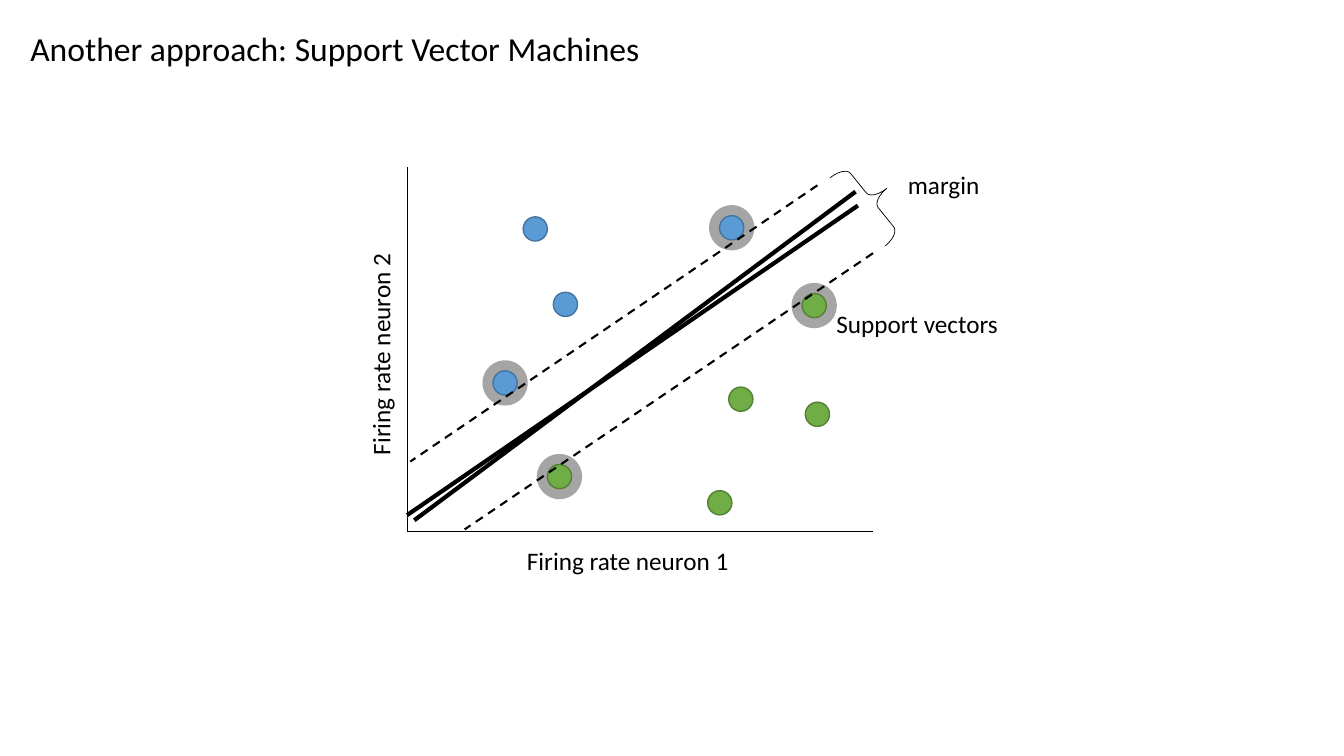
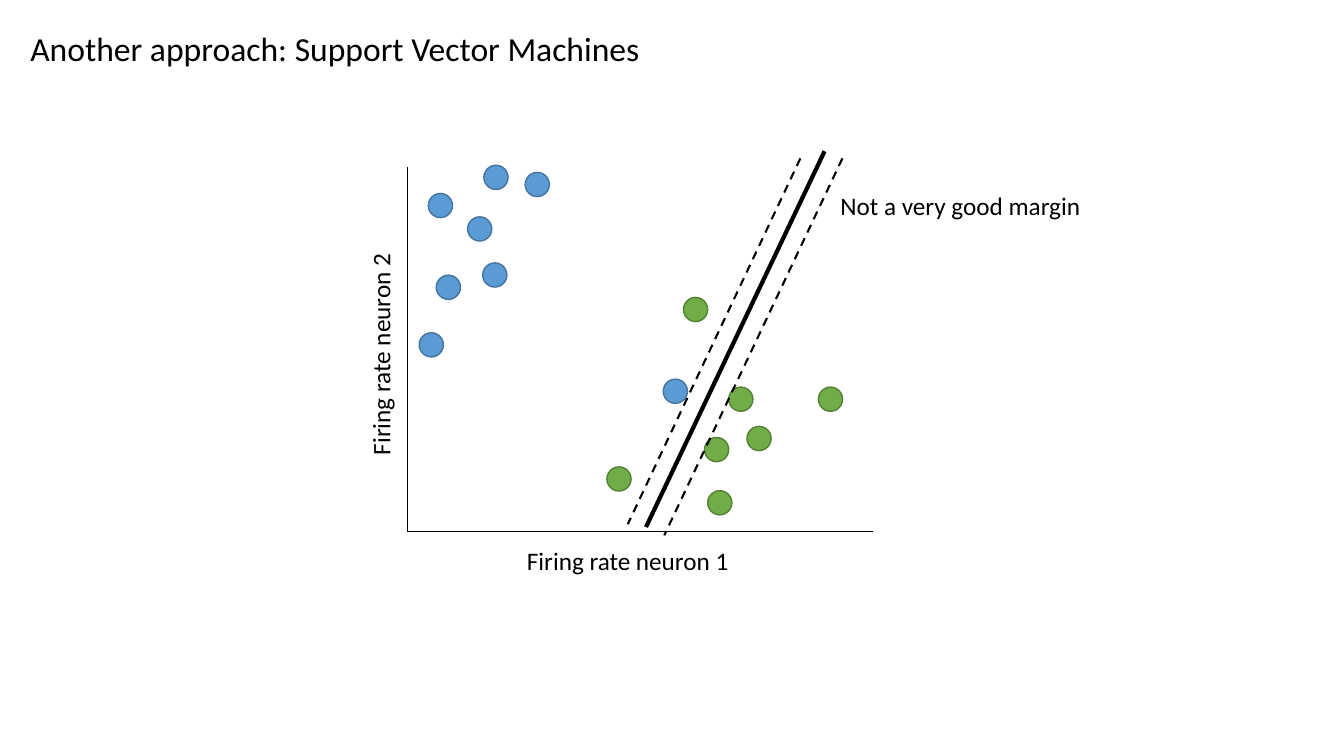
from dataclasses import dataclass

from lxml.etree import SubElement
from pptx import Presentation
from pptx.dml.color import RGBColor
from pptx.enum.dml import MSO_LINE_DASH_STYLE as Dash
from pptx.enum.shapes import MSO_CONNECTOR as Connector, MSO_SHAPE as Shape
from pptx.enum.text import MSO_ANCHOR as Anchor, MSO_AUTO_SIZE as AutoSize, PP_ALIGN as Align
from pptx.oxml.ns import qn
from pptx.util import Cm, Pt


@dataclass(frozen=True)
class Theme:
    font: str = "Calibri"
    title_size: float = 24
    label_size: float = 18
    ink: str = "000000"
    halo: str = "A5A5A5"
    blue: tuple = ("5B9BD5", "43739E")
    green: tuple = ("70AD47", "538035")
    hairline: float = 0.5
    outline: float = 1
    margin_line: float = 1.5
    boundary: float = 3


THEME = Theme()
TITLE = "Another approach: Support Vector Machines"
TITLE_BOX = (0.51, 0.58, 31.29, 1.27)
DOT, HALO = 0.61, 1.14
LABEL_HEIGHT = 1.02
ORIGIN, X_END, Y_END = (10.26, 13.39), (22, 13.39), (10.26, 4.22)
AXIS_LABELS = [
    ("Firing rate neuron 1", 13.03, 13.61, 5.66, 0),
    ("Firing rate neuron 2", 6.76, 8.38, 5.66, 270),
]

SLIDES = [
    {
        "supports": [(20.52, 7.7), (14.1, 12.01), (12.73, 9.65), (18.44, 5.74)],
        "blue": [(13.49, 5.77), (12.73, 9.65), (18.44, 5.74), (14.25, 7.67)],
        "green": [(18.67, 10.06), (20.6, 10.44), (18.14, 12.67), (14.1, 12.01), (20.52, 7.7)],
        "boundaries": [((21.62, 5.18), (10.26, 12.98)), ((21.56, 4.83), (10.44, 13.11))],
        "margins": [((22, 6.38), (11.71, 13.34)), ((20.6, 4.67), (10.34, 11.63))],
        "brace": (21.51, 3.94, 0.94, 2.21, 321.1),
        "labels": [("Support vectors", 20.83, 7.65, 4.62, 0), ("margin", 22.63, 4.14, 2.34, 0)],
    },
    {
        "supports": [],
        "blue": [(12.09, 5.77), (11.1, 5.18), (13.54, 4.65), (11.3, 7.24),
                 (17.02, 9.86), (12.5, 4.47), (10.87, 8.69), (12.47, 6.93)],
        "green": [(18.67, 10.06), (19.13, 11.05), (18.06, 11.33), (20.93, 10.06),
                  (18.14, 12.67), (15.6, 12.07), (17.53, 7.8)],
        "boundaries": [((20.78, 3.81), (16.28, 13.28))],
        "margins": [((21.23, 3.99), (16.74, 13.49)), ((20.17, 3.99), (15.82, 13.21))],
        "brace": None,
        "labels": [("Not a very good margin", 20.93, 4.67, 6.63, 0)],
    },
]


def color(value):
    return RGBColor.from_string(value)


def write(box, text, size, wrap=False, anchor=Anchor.TOP):
    frame = box.text_frame
    frame.auto_size = AutoSize.NONE
    frame.word_wrap = wrap
    frame.vertical_anchor = anchor
    para = frame.paragraphs[0]
    para.alignment = Align.LEFT
    span = para.add_run()
    span.text = text
    span.font.name = THEME.font
    span.font.size = Pt(size)
    span.font.color.rgb = color(THEME.ink)


def add_title(page):
    title = page.shapes.title
    title.left, title.top, title.width, title.height = map(Cm, TITLE_BOX)
    write(title, TITLE, THEME.title_size, wrap=True, anchor=Anchor.MIDDLE)


def add_label(page, text, left, top, width, rotation):
    box = page.shapes.add_textbox(Cm(left), Cm(top), Cm(width), Cm(LABEL_HEIGHT))
    box.rotation = rotation
    write(box, text, THEME.label_size)


def add_circle(page, center, diameter, fill, outline=None):
    left, top = (Cm(value - diameter / 2) for value in center)
    circle = page.shapes.add_shape(Shape.OVAL, left, top, Cm(diameter), Cm(diameter))
    circle.shadow.inherit = False
    circle.fill.solid()
    circle.fill.fore_color.rgb = color(fill)
    if outline:
        circle.line.color.rgb = color(outline)
        circle.line.width = Pt(THEME.outline)
    else:
        circle.line.fill.background()


def add_line(page, start, end, width, dash=None):
    line = page.shapes.add_connector(Connector.STRAIGHT, *map(Cm, (*start, *end)))
    line.line.color.rgb = color(THEME.ink)
    line.line.width = Pt(width)
    if dash:
        line.line.dash_style = dash
    SubElement(line.element.spPr, qn("a:effectLst"))


def add_brace(page, left, top, width, height, rotation):
    brace = page.shapes.add_shape(Shape.RIGHT_BRACE, *map(Cm, (left, top, width, height)))
    brace.rotation = rotation
    brace.adjustments[0] = 0.25
    brace.shadow.inherit = False
    brace.fill.background()
    brace.line.color.rgb = color(THEME.ink)
    brace.line.width = Pt(THEME.hairline)


def add_plot(page, plot):
    for center in plot["supports"]:
        add_circle(page, center, HALO, THEME.halo)
    for name, colors in (("blue", THEME.blue), ("green", THEME.green)):
        for center in plot[name]:
            add_circle(page, center, DOT, *colors)
    for end in (X_END, Y_END):
        add_line(page, ORIGIN, end, THEME.hairline)
    for start, end in plot["boundaries"]:
        add_line(page, start, end, THEME.boundary)
    for start, end in plot["margins"]:
        add_line(page, start, end, THEME.margin_line, Dash.DASH)
    if plot["brace"]:
        add_brace(page, *plot["brace"])
    for label in AXIS_LABELS + plot["labels"]:
        add_label(page, *label)


def main():
    deck = Presentation()
    deck.slide_width, deck.slide_height = Cm(33.87), Cm(19.05)
    title_only = deck.slide_layouts[5]
    for plot in SLIDES:
        page = deck.slides.add_slide(title_only)
        add_title(page)
        add_plot(page, plot)
    deck.save("out.pptx")


if __name__ == "__main__":
    main()
